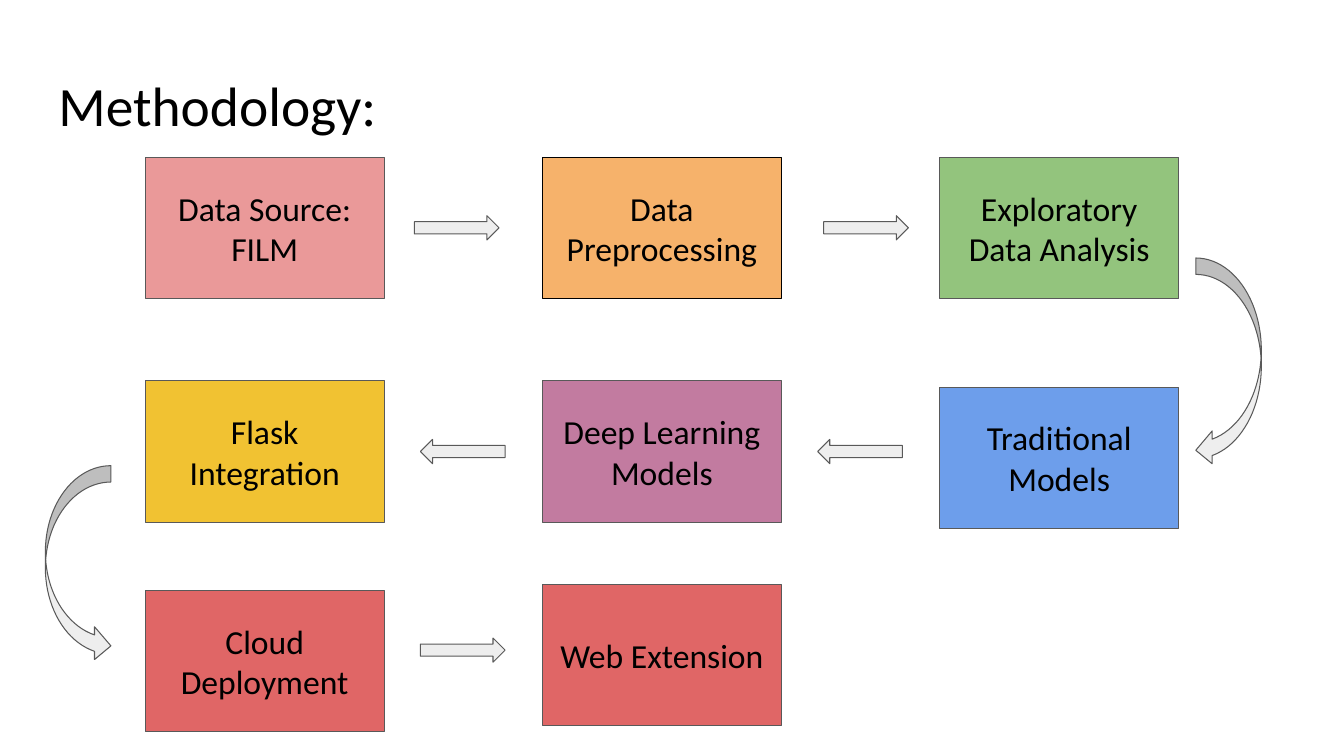
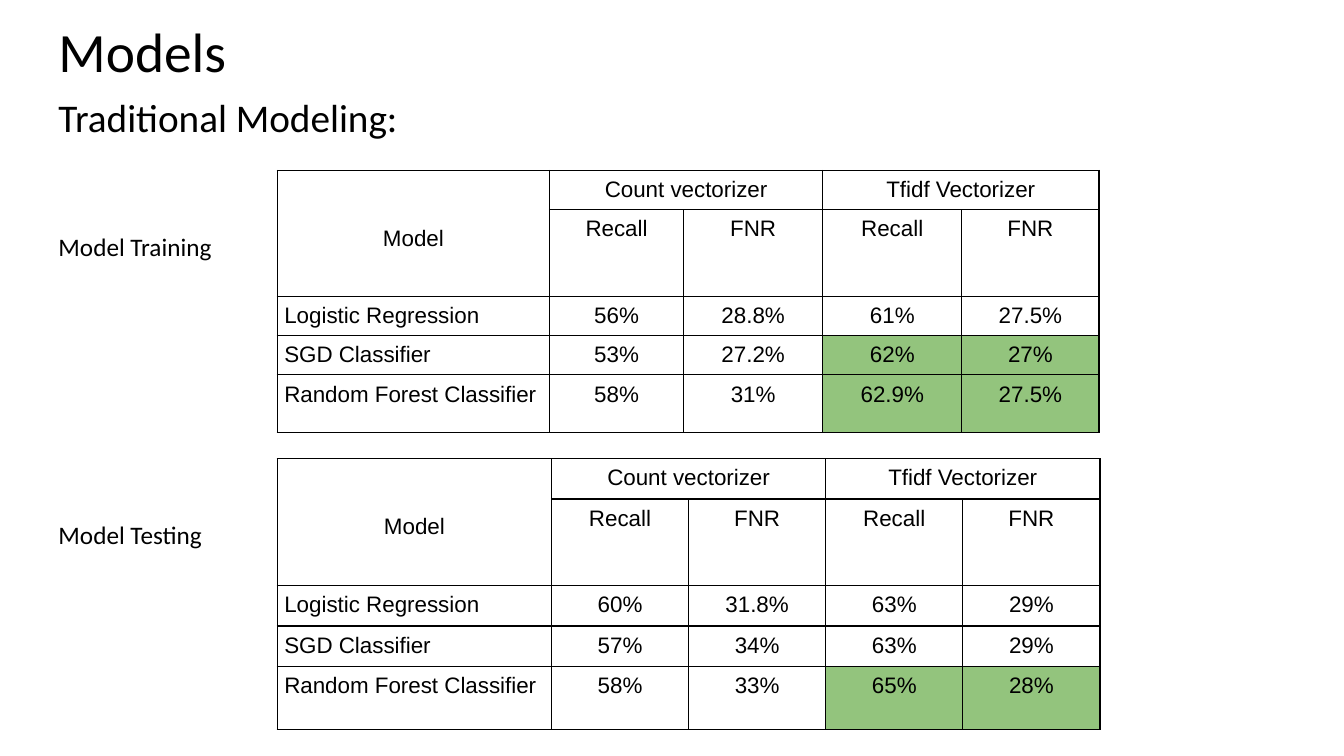
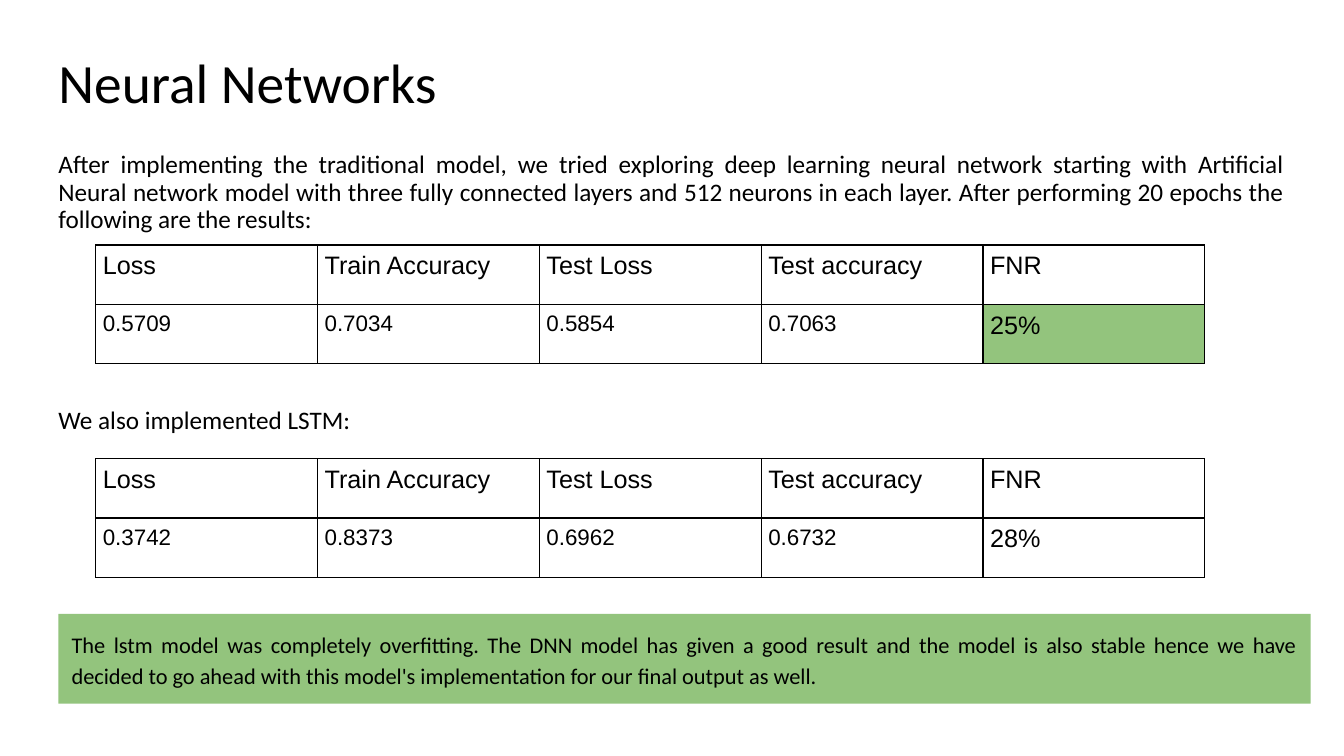
from lxml.etree import SubElement
from pptx import Presentation
from pptx.dml.color import RGBColor
from pptx.enum.shapes import MSO_SHAPE
from pptx.enum.text import MSO_ANCHOR, MSO_AUTO_SIZE, PP_ALIGN
from pptx.oxml.ns import qn
from pptx.util import Inches, Pt

COLORS = {
    "black": "000000", "outline": "595959", "arrow": "EEEEEE",
    "pink": "EA9999", "orange": "F6B26B", "green": "93C47D", "blue": "6D9EEB",
    "purple": "C27BA0", "yellow": "F1C232", "red": "E06666",
}
LEFT, WIDTH, INSET, CELL_INSET = 0.45, 12.42, 0.13, 0.07
TITLE_HEIGHT = 0.84
TITLE_ONLY, TITLE_AND_BODY = 5, 1

BOX_WIDTH, BOX_HEIGHT = 2.37, 1.4
COLUMN_LEFT, COLUMN_PITCH = 1.44, 3.94
STEPS = [
    ("Data Source:\nFILM", 0, 1.56, "pink", "outline"),
    ("Data Preprocessing", 1, 1.56, "orange", "black"),
    ("Exploratory Data Analysis", 2, 1.56, "green", "outline"),
    ("Traditional Models", 2, 3.84, "blue", "outline"),
    ("Deep Learning Models", 1, 3.78, "purple", "outline"),
    ("Flask Integration", 0, 3.78, "yellow", "outline"),
    ("Cloud Deployment", 0, 5.86, "red", "outline"),
    ("Web Extension", 1, 5.8, "red", "outline"),
]
STRAIGHT = (0.84, 0.24)
ARROWS = [
    (MSO_SHAPE.RIGHT_ARROW, 4.11, 2.14, *STRAIGHT),
    (MSO_SHAPE.RIGHT_ARROW, 8.17, 2.14, *STRAIGHT),
    (MSO_SHAPE.CURVED_LEFT_ARROW, 11.86, 2.56, 0.65, 2.07),
    (MSO_SHAPE.LEFT_ARROW, 8.11, 4.36, *STRAIGHT),
    (MSO_SHAPE.LEFT_ARROW, 4.17, 4.36, *STRAIGHT),
    (MSO_SHAPE.CURVED_RIGHT_ARROW, 0.45, 4.62, 0.65, 1.95),
    (MSO_SHAPE.RIGHT_ARROW, 4.17, 6.33, *STRAIGHT),
]

MODEL_TEXT = [
    ("Traditional Modeling:", 28, 0),
    ("Model Training", 18, 67),
    ("Model Testing", 18, 186),
]
SCORE_HEADER = [
    ["Model", "Count vectorizer", "", "Tfidf Vectorizer", ""],
    ["", "Recall", "FNR", "Recall", "FNR"],
]
SCORE_SPANS = [((0, 0), (1, 0)), ((0, 1), (0, 2)), ((0, 3), (0, 4))]
SCORE_TABLES = [
    {
        "top": 1.69,
        "columns": [2.7, 1.33, 1.38, 1.38, 1.36],
        "heights": [0.39, 0.86, 0.39, 0.39, 0.57],
        "rows": [
            ["Logistic Regression", "56%", "28.8%", "61%", "27.5%"],
            ["SGD Classifier", "53%", "27.2%", "62%", "27%"],
            ["Random Forest Classifier", "58%", "31%", "62.9%", "27.5%"],
        ],
        "marked": {(3, 3), (3, 4), (4, 3), (4, 4)},
    },
    {
        "top": 4.55,
        "columns": [2.72] + [1.36] * 4,
        "heights": [0.4, 0.86, 0.4, 0.4, 0.63],
        "rows": [
            ["Logistic Regression", "60%", "31.8%", "63%", "29%"],
            ["SGD Classifier", "57%", "34%", "63%", "29%"],
            ["Random Forest Classifier", "58%", "33%", "65%", "28%"],
        ],
        "marked": {(4, 3), (4, 4)},
    },
]

NETWORK_TEXT = [
    ("After implementing the traditional model, we tried exploring deep learning neural "
     "network starting with Artificial Neural network model with three fully connected "
     "layers and 512 neurons in each layer. After performing 20 epochs the following are "
     "the results:", 18, 0),
    ("We also implemented LSTM:", 18, 124),
]
NETWORK_HEADER = ["Loss", "Train Accuracy", "Test Loss", "Test accuracy", "FNR"]
NETWORK_TABLES = [
    (2.43, ["0.5709", "0.7034", "0.5854", "0.7063", "25%"], {(1, 4)}),
    (4.55, ["0.3742", "0.8373", "0.6962", "0.6732", "28%"], set()),
]
CONCLUSION = (
    "The lstm model was completely overfitting. The DNN model has given a good result and "
    "the model is also stable hence we have decided to go ahead with this model's "
    "implementation for our final output as well."
)


def color(name):
    return RGBColor.from_string(COLORS[name])


def place(shape, left, top, width, height):
    shape.left, shape.top = Inches(left), Inches(top)
    shape.width, shape.height = Inches(width), Inches(height)


def set_margins(target, inset):
    target.margin_left = target.margin_right = Inches(inset)
    target.margin_top = target.margin_bottom = Inches(inset)


def format_paragraph(paragraph, size, align, font="Calibri", spacing=None):
    paragraph.font.size = Pt(size)
    paragraph.font.name = font
    paragraph.font.color.rgb = color("black")
    paragraph.alignment = align
    if spacing:
        paragraph.line_spacing = spacing


def prepare_frame(shape, anchor):
    frame = shape.text_frame
    frame.word_wrap = True
    frame.auto_size = MSO_AUTO_SIZE.NONE
    frame.vertical_anchor = anchor
    set_margins(frame, INSET)
    return frame


def add_slide(presentation, layout, title, top):
    slide = presentation.slides.add_slide(presentation.slide_layouts[layout])
    place(slide.shapes.title, LEFT, top, WIDTH, TITLE_HEIGHT)
    frame = prepare_frame(slide.shapes.title, MSO_ANCHOR.TOP)
    frame.text = title
    format_paragraph(frame.paragraphs[0], 39.6, PP_ALIGN.LEFT, spacing=0.9)
    return slide


def fill_body(slide, items, top, height, align):
    body = slide.placeholders[1]
    place(body, LEFT, top, WIDTH, height)
    frame = prepare_frame(body, MSO_ANCHOR.TOP)
    frame.text = "\n".join(text for text, _, _ in items)
    for paragraph, (_, size, before) in zip(frame.paragraphs, items):
        format_paragraph(paragraph, size, align, spacing=0.9)
        paragraph.space_before = Pt(before)
        properties = paragraph._p.get_or_add_pPr()
        properties.set("marL", "0")
        properties.set("indent", "0")
        properties.insert_element_before(
            properties.makeelement(qn("a:buNone")), "a:tabLst", "a:defRPr", "a:extLst")


def add_shape(slide, kind, box, fill, line=None):
    shape = slide.shapes.add_shape(kind, *map(Inches, box))
    shape.shadow.inherit = False
    shape.fill.solid()
    shape.fill.fore_color.rgb = color(fill)
    if line:
        shape.line.color.rgb = color(line)
        shape.line.width = Pt(0.75)
    else:
        shape.line.fill.background()
    return shape


def format_cell(cell, marked):
    set_margins(cell, CELL_INSET)
    properties = cell._tc.get_or_add_tcPr()
    for side in ("lnL", "lnR", "lnT", "lnB"):
        border = SubElement(properties, qn(f"a:{side}"), w=str(Pt(1)))
        SubElement(SubElement(border, qn("a:solidFill")), qn("a:srgbClr"), val=COLORS["black"])
    if marked:
        cell.fill.solid()
        cell.fill.fore_color.rgb = color("green")
    else:
        cell.fill.background()


def add_table(slide, left, top, columns, heights, rows, marked, style):
    frame = slide.shapes.add_table(
        len(rows), len(columns), Inches(left), Inches(top),
        Inches(sum(columns)), Inches(sum(heights)))
    table = frame.table
    table.first_row = table.horz_banding = False
    for column, width in zip(table.columns, columns):
        column.width = Inches(width)
    for r, (row, height) in enumerate(zip(rows, heights)):
        table.rows[r].height = Inches(height)
        for c, text in enumerate(row):
            cell = table.cell(r, c)
            format_cell(cell, (r, c) in marked)
            cell.text = text
            size, align = style(r, c)
            format_paragraph(cell.text_frame.paragraphs[0], size, align, "Arial")
    return table


def score_style(row, column):
    return 16, PP_ALIGN.LEFT if column == 0 and row > 1 else PP_ALIGN.CENTER


def network_style(row, column):
    return 18 if row == 0 or column == 4 else 16, PP_ALIGN.LEFT


def build_methodology(presentation):
    slide = add_slide(presentation, TITLE_ONLY, "Methodology:", 0.65)
    for text, column, top, fill, line in STEPS:
        box = (COLUMN_LEFT + column * COLUMN_PITCH, top, BOX_WIDTH, BOX_HEIGHT)
        step = add_shape(slide, MSO_SHAPE.RECTANGLE, box, fill, line)
        frame = prepare_frame(step, MSO_ANCHOR.MIDDLE)
        frame.text = text
        for paragraph in frame.paragraphs:
            format_paragraph(paragraph, 24, PP_ALIGN.CENTER)
    for kind, *box in ARROWS:
        add_shape(slide, kind, box, "arrow", "outline")


def build_models(presentation):
    slide = add_slide(presentation, TITLE_AND_BODY, "Models", 0.11)
    fill_body(slide, MODEL_TEXT, 0.85, 5.81, PP_ALIGN.LEFT)
    for scores in SCORE_TABLES:
        table = add_table(
            slide, 2.75, scores["top"], scores["columns"], scores["heights"],
            SCORE_HEADER + scores["rows"], scores["marked"], score_style)
        for first, last in SCORE_SPANS:
            table.cell(*first).merge(table.cell(*last))
        model_cell = table.cell(0, 0)
        model_cell.vertical_anchor = MSO_ANCHOR.MIDDLE
        model_cell.margin_top = Inches(CELL_INSET + 0.1)


def build_networks(presentation):
    slide = add_slide(presentation, TITLE_AND_BODY, "Neural Networks", 0.42)
    fill_body(slide, NETWORK_TEXT, 1.38, 5.28, PP_ALIGN.JUSTIFY)
    conclusion = add_shape(slide, MSO_SHAPE.RECTANGLE, (0.58, 6.09, WIDTH, 0.89), "green")
    frame = prepare_frame(conclusion, MSO_ANCHOR.TOP)
    frame.text = CONCLUSION
    format_paragraph(frame.paragraphs[0], 16, PP_ALIGN.JUSTIFY, spacing=1.15)
    for top, values, marked in NETWORK_TABLES:
        add_table(slide, 0.95, top, [2.2] * 5, [0.59] * 2,
                  [NETWORK_HEADER, values], marked, network_style)


def main():
    """Build the three slides on methodology, models and neural networks."""
    presentation = Presentation()
    presentation.slide_width, presentation.slide_height = Inches(13.33), Inches(7.5)
    build_methodology(presentation)
    build_models(presentation)
    build_networks(presentation)
    presentation.save("out.pptx")


if __name__ == "__main__":
    main()
